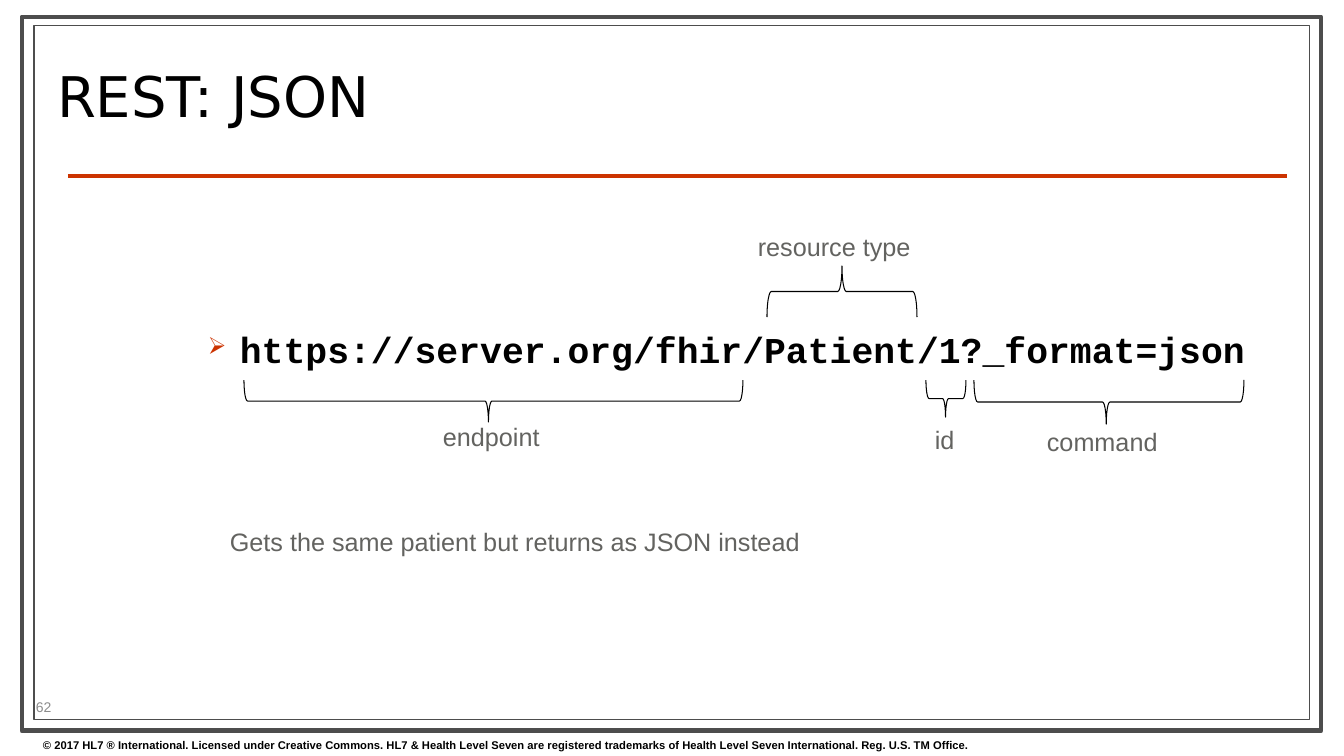
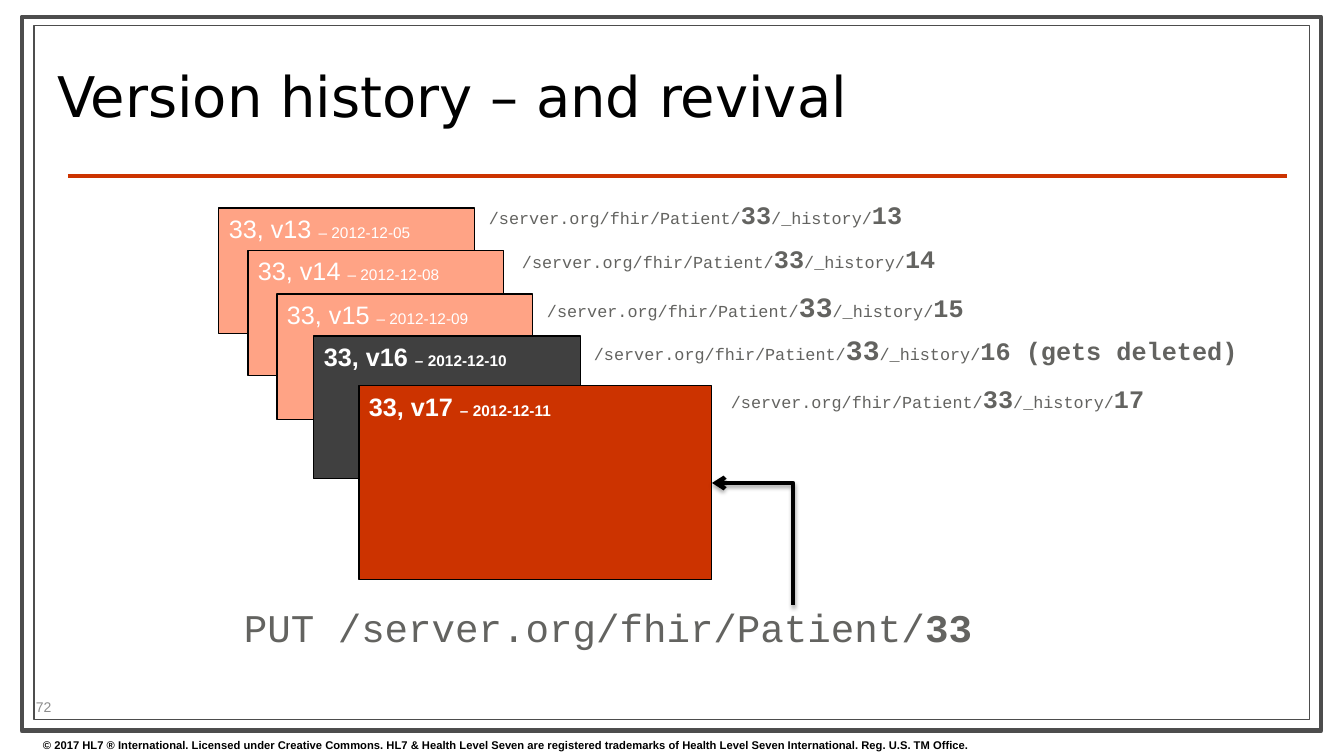
from lxml import etree
from pptx import Presentation
from pptx.dml.color import RGBColor
from pptx.enum.shapes import MSO_CONNECTOR, MSO_SHAPE
from pptx.enum.text import MSO_ANCHOR, PP_ALIGN
from pptx.oxml.ns import qn
from pptx.util import Emu, Pt

RECTANGLE = MSO_SHAPE.RECTANGLE
LEFT_BRACE = MSO_SHAPE.LEFT_BRACE
STRAIGHT = MSO_CONNECTOR.STRAIGHT
ELBOW = MSO_CONNECTOR.ELBOW
TOP = MSO_ANCHOR.TOP
MIDDLE = MSO_ANCHOR.MIDDLE
LEFT = PP_ALIGN.LEFT

EMU_PER_PX = 914400 / 100.8
BLACK = "000000"
WHITE = "FFFFFF"
FRAME_GRAY = "4D4D4D"
TEXT_GRAY = "636360"
RED = "CC3300"
SALMON = "FFA385"
CHARCOAL = "404040"

TITLE = {"size": Pt(40), "name": "DejaVu Sans", "color": BLACK}
FOOTER = {"size": Pt(8), "name": "Arial", "bold": True, "color": BLACK}
PAGE_NUMBER = {"size": Pt(10), "name": "Arial", "color": "8C8C8C"}
LABEL = {"size": Pt(18), "name": "Arial", "color": TEXT_GRAY}
URL = {"size": Pt(26), "name": "Courier New", "bold": True, "color": BLACK}
CODE = {"size": Pt(12), "name": "Courier New", "color": TEXT_GRAY}
REQUEST = {**CODE, "size": Pt(28)}

COPYRIGHT = (
    "© 2017 HL7 ® International. Licensed under Creative Commons. "
    "HL7 & Health Level Seven are registered trademarks of "
    "Health Level Seven International. Reg. U.S. TM Office."
)


def px(length):
    return Emu(round(length * EMU_PER_PX))


def rgb(color):
    return RGBColor.from_string(color)


def add_xml(parent, tag, **attributes):
    values = {name: str(value) for name, value in attributes.items()}
    return etree.SubElement(parent, qn(tag), values)


def format_font(font, formats):
    for name, value in formats.items():
        if name == "color":
            font.color.rgb = rgb(value)
        else:
            setattr(font, name, value)


def write_runs(shape, runs, anchor=TOP):
    frame = shape.text_frame
    frame.word_wrap = True
    frame.vertical_anchor = anchor
    paragraph = frame.paragraphs[0]
    paragraph.alignment = LEFT
    for text, formats in runs:
        run = paragraph.add_run()
        run.text = text
        format_font(run.font, formats)
    return paragraph


def add_text(slide, box, runs, anchor=TOP):
    shape = slide.shapes.add_textbox(*map(px, box))
    write_runs(shape, runs, anchor)
    return shape


def add_rectangle(slide, box, fill, line, line_width=0.75):
    shape = slide.shapes.add_shape(RECTANGLE, *map(px, box))
    shape.shadow.inherit = False
    shape.fill.solid()
    shape.fill.fore_color.rgb = rgb(fill)
    shape.line.color.rgb = rgb(line)
    shape.line.width = Pt(line_width)
    return shape


def add_line(slide, kind, start, end, color):
    line = slide.shapes.add_connector(kind, *map(px, start + end))
    line.line.color.rgb = rgb(color)
    line.line.width = Pt(3)
    effects = add_xml(line.element.spPr, "a:effectLst")
    return line, effects


def add_brace(slide, box, rotation, tip=0.5):
    left, top, width, height = box
    center_x, center_y = left + width / 2, top + height / 2
    shape = slide.shapes.add_shape(
        LEFT_BRACE,
        px(center_x - height / 2),
        px(center_y - width / 2),
        px(height),
        px(width),
    )
    shape.rotation = rotation
    shape.adjustments[1] = tip
    shape.shadow.inherit = False
    shape.fill.background()
    shape.line.color.rgb = rgb(BLACK)
    shape.line.width = Pt(0.75)


def add_bulleted_url(slide, box, url):
    shape = slide.shapes.add_textbox(*map(px, box))
    indent = px(32)
    properties = shape.text_frame.paragraphs[0]._p.get_or_add_pPr()
    properties.set("marL", str(indent))
    properties.set("indent", str(-indent))
    add_xml(add_xml(properties, "a:buClr"), "a:srgbClr", val=RED)
    add_xml(properties, "a:buSzPct", val=65000)
    add_xml(properties, "a:buChar", char="➢")
    write_runs(shape, [(url, URL)])


def add_card(slide, box, fill, version, date, bold):
    card = add_rectangle(slide, box, fill, BLACK)
    font = {"size": Pt(18), "name": "Arial", "bold": bold, "color": WHITE}
    small = {**font, "size": Pt(11)}
    write_runs(card, [(f"33, v{version} ", font), (f"– {date}", small)])
    return card


def add_history_link(slide, position, version, id_size):
    strong = {**CODE, "size": Pt(18), "bold": True}
    runs = [
        ("/server.org/fhir/Patient/", CODE),
        ("33", {**strong, "size": Pt(id_size)}),
        ("/_history/", CODE),
        (version, strong),
    ]
    add_text(slide, (*position, 690, 40), runs)


def add_elbow_arrow(slide, card, start, end):
    arrow, effects = add_line(slide, ELBOW, start, end, BLACK)
    arrow.begin_connect(card, 3)
    properties = arrow.element.spPr
    properties.find(qn("a:prstGeom")).set("prst", "bentConnector2")
    add_xml(properties.find(qn("a:ln")), "a:headEnd", type="arrow")
    shadow = add_xml(
        effects, "a:outerShdw", blurRad=Pt(3), dist=Pt(2), dir=5400000, rotWithShape=0
    )
    color = add_xml(shadow, "a:srgbClr", val=BLACK)
    add_xml(color, "a:alpha", val=35000)


def add_titled_slide(presentation, layout, title, number):
    slide = presentation.slides.add_slide(layout)
    shape = slide.shapes.title
    box = {"left": 47, "top": 36, "width": 963, "height": 130}
    for name, value in box.items():
        setattr(shape, name, px(value))
    write_runs(shape, [(title, TITLE)], MIDDLE).line_spacing = 0.8
    return slide, number


def add_page_number(slide, number):
    add_text(slide, (26, 695, 106, 24), [(number, PAGE_NUMBER)], MIDDLE)


def move_frame_to_layout(slide, layout):
    for placeholder in list(layout.placeholders)[1:]:
        layout.shapes.element.remove(placeholder.element)
    divider, _ = add_line(slide, STRAIGHT, (68, 176), (1287, 176), RED)
    frame = [
        add_rectangle(slide, (22, 17, 1299, 714), WHITE, FRAME_GRAY, 3.5),
        add_rectangle(slide, (34, 26, 1276, 694), WHITE, FRAME_GRAY),
        divider,
        add_text(slide, (33, 733, 1300, 23), [(COPYRIGHT, FOOTER)]),
    ]
    for shape in frame:
        layout.shapes.element.append(shape.element)


def fill_rest_slide(slide):
    add_bulleted_url(
        slide, (198, 322, 1107, 50), "https://server.org/fhir/Patient/1?_format=json"
    )
    add_brace(slide, (767, 266, 150, 51), 90)
    for left, width, height in ((244, 499, 42), (926, 40, 37), (974, 270, 44)):
        add_brace(slide, (left, 380, width, height), 270, 0.49)
    labels = (
        ("resource type", 748, 226, 182),
        ("endpoint", 433, 416, 127),
        ("id", 925, 419, 50),
        ("command", 1037, 421, 143),
        ("Gets the same patient but returns as JSON instead", 220, 521, 610),
    )
    for text, left, top, width in labels:
        add_text(slide, (left, top, width, 40), [(text, LABEL)])


def fill_history_slide(slide):
    old, deleted, current = (256, 126), (267, 143), (353, 194)
    versions = (
        ("13", "", "2012-12-05", (219, 208), old, SALMON, (479, 194), 18),
        ("14", "", "2012-12-08", (248, 250), old, SALMON, (512, 238), 18),
        ("15", "", "2012-12-09", (277, 294), old, SALMON, (537, 285), 20),
        ("16", " (gets deleted)", "2012-12-10", (314, 336), deleted, CHARCOAL, (584, 328), 20),
        ("17", "", "2012-12-11", (359, 386), current, RED, (721, 378), 18),
    )
    for version, note, date, position, size, fill, link, id_size in versions:
        card = add_card(slide, position + size, fill, version, date, fill != SALMON)
        add_history_link(slide, link, version + note, id_size)
    request = [
        ("PUT /server.org/fhir/Patient/", REQUEST),
        ("33", {**REQUEST, "bold": True}),
    ]
    add_text(slide, (234, 598, 763, 57), request)
    add_elbow_arrow(slide, card, (712, 483), (793, 605))


def main():
    presentation = Presentation()
    presentation.slide_width = px(1344)
    presentation.slide_height = px(756)
    layout = presentation.slide_layouts[5]
    contents = (
        ("REST: JSON", "62", fill_rest_slide),
        ("Version history – and revival", "72", fill_history_slide),
    )
    for index, (title, number, fill_slide) in enumerate(contents):
        slide, number = add_titled_slide(presentation, layout, title, number)
        if index == 0:
            move_frame_to_layout(slide, layout)
        fill_slide(slide)
        add_page_number(slide, number)
    presentation.save("out.pptx")


if __name__ == "__main__":
    main()
